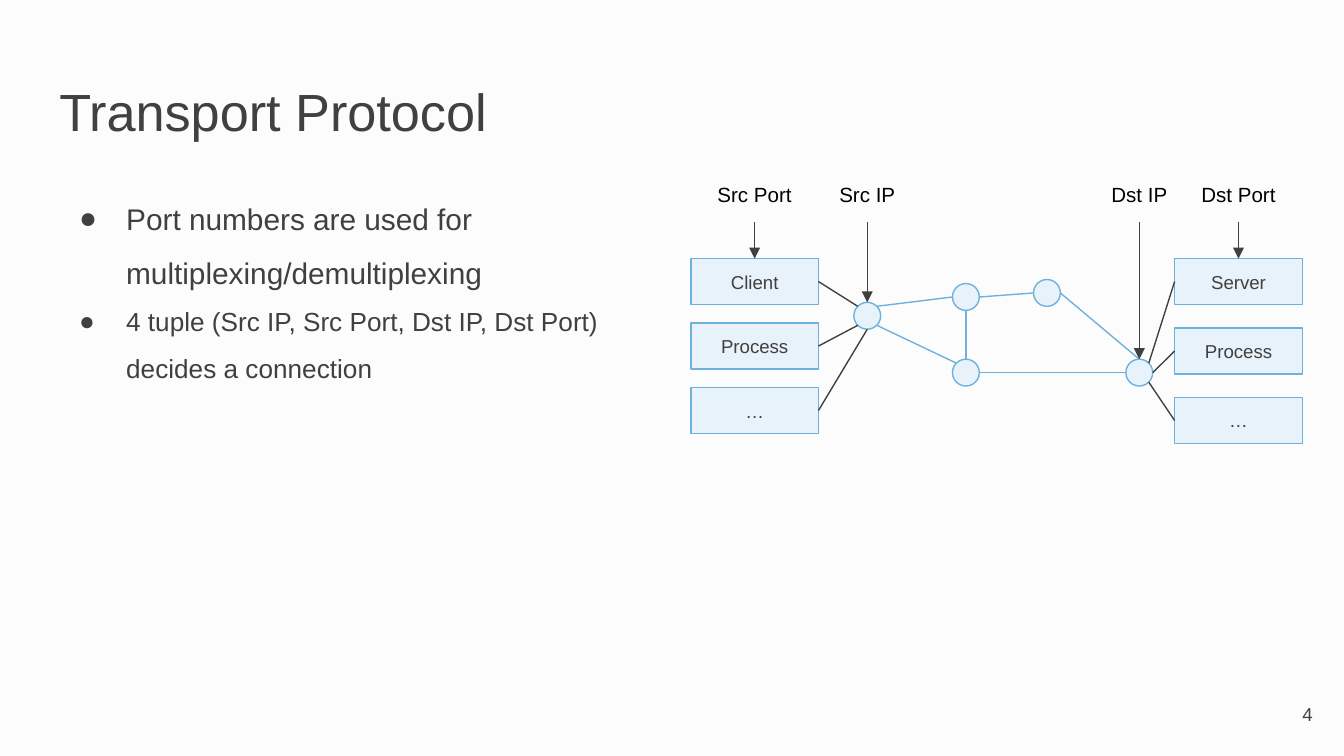
"""Build a slide on transport ports, with a small network diagram."""
from dataclasses import dataclass
from math import sqrt

from pptx import Presentation
from pptx.dml.color import RGBColor as Color
from pptx.enum.shapes import MSO_CONNECTOR as Wire, MSO_SHAPE as Form
from pptx.enum.text import MSO_ANCHOR as Anchor, MSO_AUTO_SIZE as Fit, PP_ALIGN as Align
from pptx.oxml.xmlchemy import OxmlElement as Node
from pptx.util import Emu, Inches, Pt

PAPER = Color(0xFC, 0xFC, 0xFC)
INK = Color(0x40, 0x40, 0x40)
BLACK = Color(0x00, 0x00, 0x00)
SKY = Color(0xE8, 0xF2, 0xFA)
BLUE = Color(0x6D, 0xB1, 0xDC)

WIDE = Inches(10)
HIGH = Emu(WIDE * 9 // 16)
CELL = Emu(WIDE // 100)
FONT = "Arial"
LABEL_TOP, LABEL_WIDE, LABEL_HIGH = 12.6, 7.9, 3.9
SIDES = {
    "n": (0, -1), "ne": (1, -1), "e": (1, 0), "se": (1, 1),
    "s": (0, 1), "sw": (-1, 1), "w": (-1, 0), "nw": (-1, -1),
}


@dataclass(frozen=True)
class Area:
    """An area in grid columns and rows."""
    col: float
    row: float
    wide: float
    high: float

    def port(self, side: str) -> tuple[float, float]:
        """Return the point on the rim of the area at a compass side."""
        dx, dy = SIDES[side]
        reach = sqrt(dx * dx + dy * dy) * 2
        return (self.col + self.wide / 2 + dx * self.wide / reach,
                self.row + self.high / 2 + dy * self.high / reach)


@dataclass(frozen=True)
class Link:
    """A line from one port to another."""
    start: Area
    leave: str
    end: Area
    enter: str
    tint: Color = INK
    arrow: bool = False


def grid(*cells: float) -> list[Emu]:
    """Turn grid counts into lengths."""
    return [Emu(round(cell * CELL)) for cell in cells]


def place(shape, area: Area) -> None:
    """Move a shape to its area."""
    shape.left, shape.top, shape.width, shape.height = grid(
        area.col, area.row, area.wide, area.high)


def setup(frame, anchor=Anchor.TOP, fit=Fit.NONE) -> None:
    """Set wrap, insets and anchor of a text frame."""
    frame.word_wrap = True
    frame.auto_size = fit
    frame.vertical_anchor = anchor
    frame.margin_left = frame.margin_right = CELL
    frame.margin_top = frame.margin_bottom = CELL


def write(para, text: str, size: float, tint: Color = INK, align=Align.LEFT) -> None:
    """Add one run to a paragraph."""
    para.alignment = align
    run = para.add_run()
    run.text = text
    run.font.name, run.font.size = FONT, Pt(size)
    run.font.color.rgb = tint


def bullet(para) -> None:
    """Give a paragraph a round bullet and a hanging indent."""
    para.line_spacing = 1.5
    props = para._p.get_or_add_pPr()
    props.set("marL", str(Inches(0.5)))
    props.set("indent", str(Inches(-0.35)))
    color, tint = Node("a:buClr"), Node("a:srgbClr")
    tint.set("val", str(INK))
    color.append(tint)
    face, mark = Node("a:buFont"), Node("a:buChar")
    face.set("typeface", FONT)
    mark.set("char", "●")
    for part in (color, face, mark):
        props.append(part)


def note(slide, area: Area, text: str, size: float, tint: Color = INK,
         align=Align.CENTER, anchor=Anchor.TOP, fit=Fit.NONE) -> None:
    """Add a text box with one line."""
    box = slide.shapes.add_textbox(*grid(area.col, area.row, area.wide, area.high))
    setup(box.text_frame, anchor, fit)
    write(box.text_frame.paragraphs[0], text, size, tint, align)


def block(slide, form, area: Area, text: str = "") -> None:
    """Add a pale blue shape, with text if any."""
    shape = slide.shapes.add_shape(form, *grid(area.col, area.row, area.wide, area.high))
    shape.shadow.inherit = False
    shape.fill.solid()
    shape.fill.fore_color.rgb = SKY
    shape.line.color.rgb = BLUE
    shape.line.width = Pt(0.75)
    if text:
        setup(shape.text_frame, Anchor.MIDDLE)
        write(shape.text_frame.paragraphs[0], text, 10, align=Align.CENTER)


def join(slide, link: Link) -> None:
    """Draw a link, with an arrowhead if asked."""
    ends = link.start.port(link.leave) + link.end.port(link.enter)
    wire = slide.shapes.add_connector(Wire.STRAIGHT, *grid(*ends))
    wire.line.color.rgb = link.tint
    wire.line.width = Pt(0.75)
    wire._element.spPr.append(Node("a:effectLst"))
    if link.arrow:
        tip = Node("a:tailEnd")
        tip.set("type", "triangle")
        wire.line._get_or_add_ln().append(tip)


def stack(col: float, gap: float) -> list[Area]:
    """Return three box areas, one below the other."""
    return [Area(col, 19.25 + step * gap, 9.5, 3.4) for step in range(3)]


def dot(col: float, row: float) -> Area:
    """Return the area of a network node."""
    return Area(col, row, 2, 2)


def main() -> None:
    """Build and save the slide."""
    deck = Presentation()
    deck.slide_width, deck.slide_height = WIDE, HIGH
    slide = deck.slides.add_slide(deck.slide_layouts[5])
    slide.background.fill.solid()
    slide.background.fill.fore_color.rgb = PAPER

    title = slide.shapes.title
    place(title, Area(3.41, 4.87, 93.2, 6.3))
    setup(title.text_frame)
    write(title.text_frame.paragraphs[0], "Transport Protocol", 28)

    body = slide.shapes.add_textbox(*grid(3.41, 12.6, 43.7, 37.4)).text_frame
    setup(body)
    points = (
        ("Port numbers are used for multiplexing/demultiplexing", 16),
        ("4 tuple (Src IP, Src Port, Dst IP, Dst Port) decides a connection", 14),
    )
    for rank, (text, size) in enumerate(points):
        para = body.add_paragraph() if rank else body.paragraphs[0]
        write(para, text, size)
        bullet(para)
    note(slide, Area(92.65, 51, 6, 4.3), "4", 10, align=Align.RIGHT, anchor=Anchor.MIDDLE)

    left, right = stack(51.4, 4.8), stack(87.4, 5.17)
    for areas, head in ((left, "Client"), (right, "Server")):
        for area, text in zip(areas, (head, "Process", "…")):
            block(slide, Form.RECTANGLE, area, text)

    source, upper, lower = dot(63.53, 22.5), dot(70.87, 21.1), dot(70.87, 26.73)
    relay, target = dot(76.9, 20.8), dot(83.77, 26.73)
    for area in (source, upper, lower, relay, target):
        block(slide, Form.OVAL, area)

    links = [
        Link(source, "ne", upper, "w", BLUE),
        Link(upper, "e", relay, "w", BLUE),
        Link(relay, "e", target, "n", BLUE),
        Link(source, "se", lower, "nw", BLUE),
        Link(upper, "s", lower, "n", BLUE),
        Link(lower, "e", target, "w", BLUE),
    ]
    links += [Link(area, "e", source, side) for area, side in zip(left, ("nw", "sw", "s"))]
    links += [Link(target, side, area, "w") for area, side in zip(right, ("ne", "e", "se"))]

    labels = (("Src Port", left[0]), ("Src IP", source),
              ("Dst IP", target), ("Dst Port", right[0]))
    for text, goal in labels:
        mid = goal.port("n")[0]
        area = Area(mid - LABEL_WIDE / 2, LABEL_TOP, LABEL_WIDE, LABEL_HIGH)
        note(slide, area, text, 11, BLACK, fit=Fit.SHAPE_TO_FIT_TEXT)
        links.append(Link(area, "s", goal, "n", arrow=True))

    for link in links:
        join(slide, link)
    deck.save("out.pptx")


if __name__ == "__main__":
    main()
